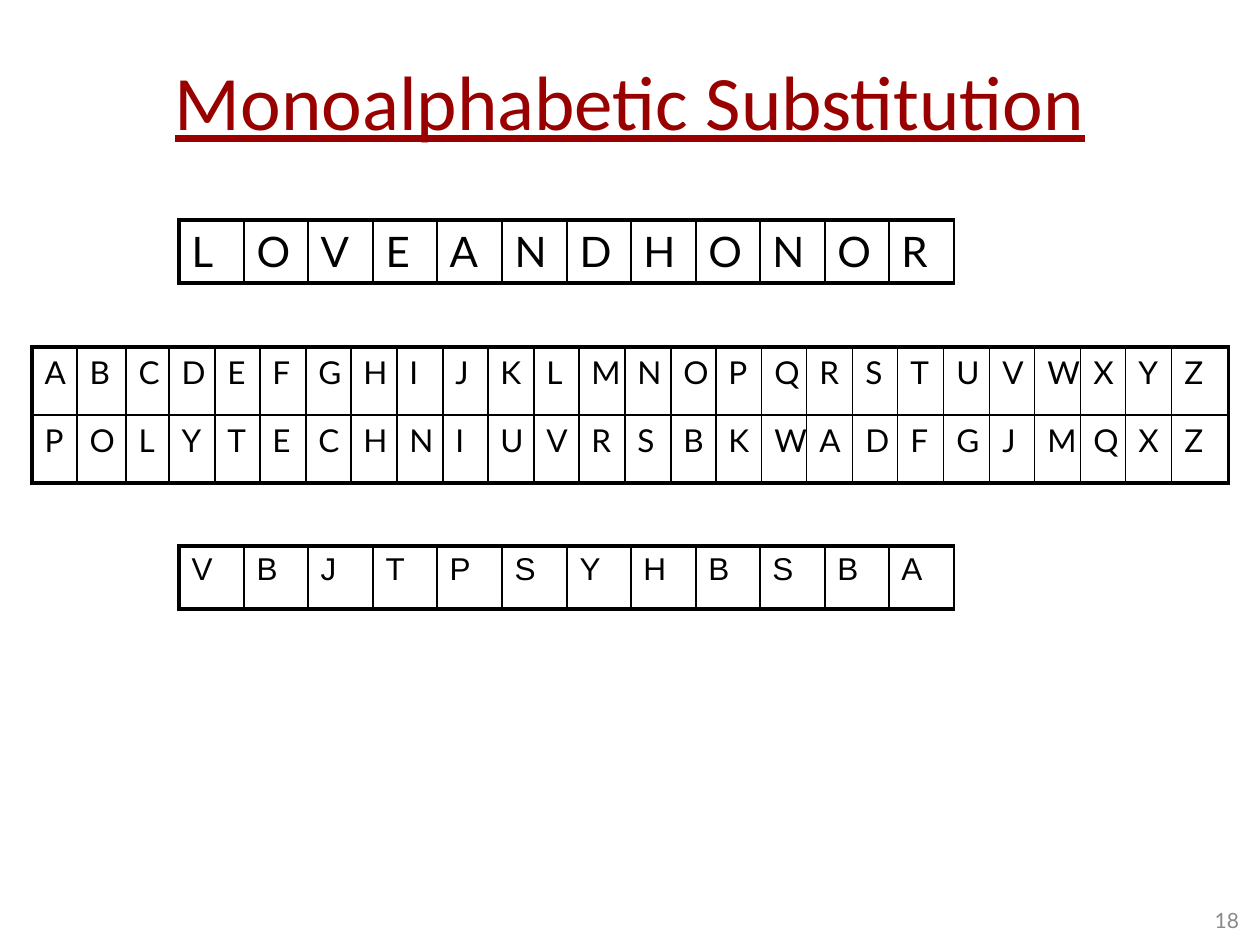
from lxml.etree import SubElement
from pptx import Presentation
from pptx.dml.color import RGBColor
from pptx.enum.text import MSO_ANCHOR, PP_ALIGN
from pptx.oxml.ns import qn
from pptx.util import Pt

SCALE = 914400 / 126
INK = "000000"
THIN, THICK = 1, 2.25


def px(num):
    """Turn pixels into EMU."""
    return round(num * SCALE)


def hue(code):
    """Turn a hex string into a colour."""
    return RGBColor.from_string(code)


def split(total, count):
    """Share a width among columns in whole pixels."""
    ends = [round(total * i / count) for i in range(count + 1)]
    return [b - a for a, b in zip(ends, ends[1:])]


def add_run(para, text, font, size, code):
    """Add one styled run and return it."""
    run = para.add_run()
    run.text = text
    run.font.name = font
    run.font.size = Pt(size)
    run.font.color.rgb = hue(code)
    return run


def add_line(cell, side, width):
    """Draw one solid border of a cell."""
    props = cell._tc.get_or_add_tcPr()
    line = SubElement(props, qn(f"a:ln{side}"), w=str(Pt(width)))
    fill = SubElement(line, qn("a:solidFill"))
    SubElement(fill, qn("a:srgbClr"), val=INK)


def add_title(slide, text):
    """Place and style the title."""
    title = slide.shapes.title
    title.left, title.top, title.width, title.height = map(px, (63, 21, 1134, 158))
    frame = title.text_frame
    frame.margin_left = frame.margin_right = 0
    frame.vertical_anchor = MSO_ANCHOR.MIDDLE
    para = frame.paragraphs[0]
    para.alignment = PP_ALIGN.CENTER
    add_run(para, text, "Calibri", 44, "990000").font.underline = True


def add_number(slide, text):
    """Add the page number at the lower right."""
    box = slide.shapes.add_textbox(*map(px, (945, 895, 294, 50)))
    frame = box.text_frame
    frame.word_wrap = True
    frame.margin_left = frame.margin_right = 0
    frame.margin_top = frame.margin_bottom = 0
    frame.vertical_anchor = MSO_ANCHOR.MIDDLE
    para = frame.paragraphs[0]
    para.alignment = PP_ALIGN.RIGHT
    add_run(para, text, "Lato", 12, "898989")


def add_grid(slide, left, top, tall, widths, words, font, size, right=THIN):
    """Add a table with one letter in each cell."""
    rows, cols = len(words), len(widths)
    frame = slide.shapes.add_table(
        rows, cols, px(left), px(top), px(sum(widths)), px(tall * rows))
    table = frame.table
    table.first_row = table.horz_banding = False
    for col, width in zip(table.columns, widths):
        col.width = px(width)
    for r, word in enumerate(words):
        table.rows[r].height = px(tall)
        for c, char in enumerate(word):
            cell = table.cell(r, c)
            add_run(cell.text_frame.paragraphs[0], char, font, size, INK)
            add_line(cell, "L", THICK if c == 0 else THIN)
            add_line(cell, "R", right if c == cols - 1 else THIN)
            add_line(cell, "T", THICK if r == 0 else THIN)
            add_line(cell, "B", THICK if r == rows - 1 else THIN)
            cell.fill.background()


def main():
    """Build the slide and save it."""
    deck = Presentation()
    deck.slide_width, deck.slide_height = px(1260), px(945)
    slide = deck.slides.add_slide(deck.slide_layouts[5])
    add_title(slide, "Monoalphabetic Substitution")
    add_number(slide, "18")
    keys = ["ABCDEFGHIJKLMNOPQRSTUVWXYZ", "POLYTECHNIUVRSBKWADFGJMQXZ"]
    wide = [45, 49, 43] + split(1003, 22) + [57]
    add_grid(slide, 32, 347, 68, wide, keys, "Lato", 18, THICK)
    short = split(775, 12)
    add_grid(slide, 179, 220, 63, short, ["LOVEANDHONOR"], "Lato", 24)
    add_grid(slide, 179, 546, 63, short, ["VBJTPSYHBSBA"], "Arial", 18)
    deck.save("out.pptx")


if __name__ == "__main__":
    main()
